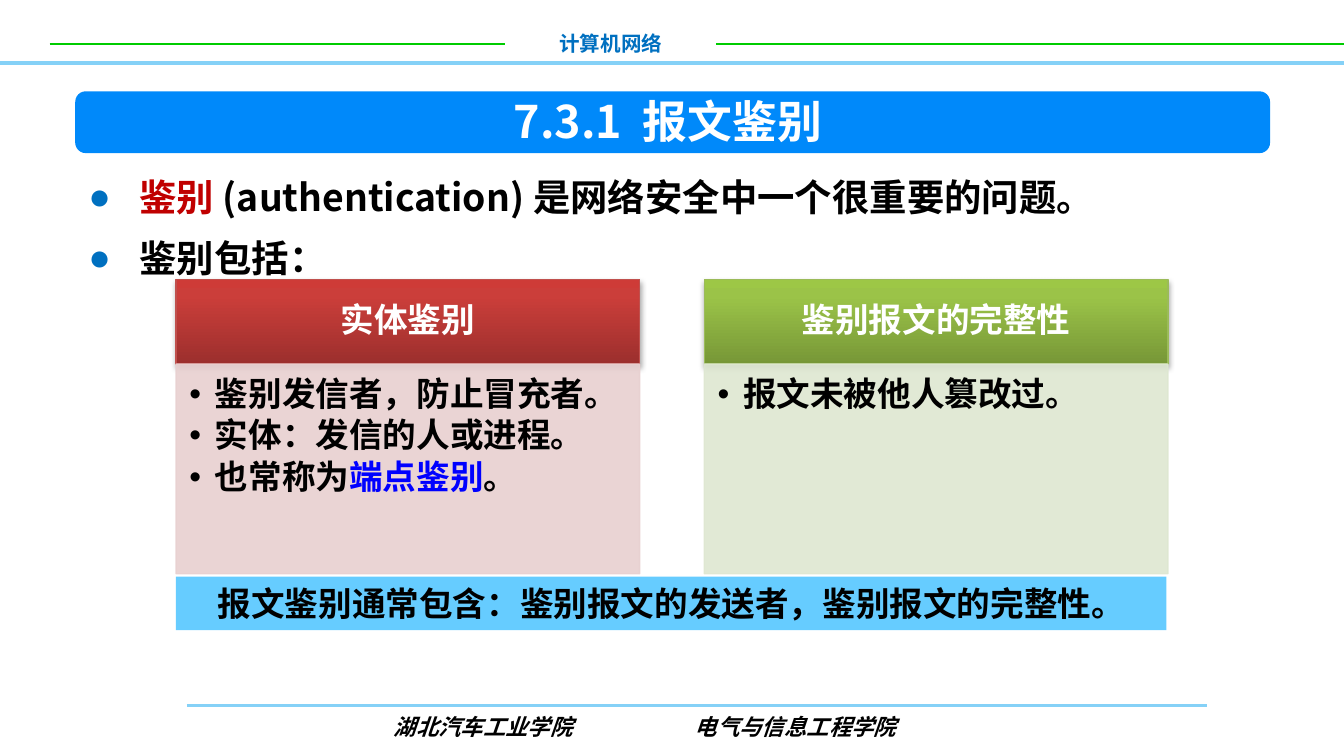
from copy import deepcopy
from dataclasses import dataclass

from lxml.etree import SubElement
from pptx import Presentation
from pptx.dml.color import RGBColor
from pptx.enum.shapes import MSO_CONNECTOR, MSO_SHAPE
from pptx.enum.text import MSO_ANCHOR, PP_ALIGN
from pptx.oxml.ns import qn
from pptx.util import Inches, Pt

COLORS = {
    "sky": "85D1F7", "green": "00CC00", "blue": "0070C0", "banner": "0089FA",
    "red": "C00000", "link": "0000FF", "summary": "66CCFF",
    "black": "000000", "white": "FFFFFF",
}
CJK = "Noto Sans CJK SC"
DEFAULT_INSETS = (0.1, 0.05, 0.1, 0.05)


@dataclass
class Span:
    text: str
    color: str = "black"


@dataclass
class TextStyle:
    size: float
    font: str = CJK
    italic: bool = False
    align: PP_ALIGN = PP_ALIGN.LEFT
    spacing: object = None  # a share of the line, or a fixed Pt height
    space_after: float = 0
    bullet: str = ""
    bullet_color: str = "black"
    indent: float = 0
    tab: float = 0


@dataclass
class Panel:
    left: float
    heading: str
    gradient: list[str]  # from bottom to top
    edge: str
    tint: str
    points: list[list[Span]]


def rgb(name: str) -> RGBColor:
    return RGBColor.from_string(COLORS.get(name, name))


def set_alpha(fill_element, percent: int) -> None:
    color = fill_element.find(".//" + qn("a:srgbClr"))
    SubElement(color, qn("a:alpha"), val=str(percent * 1000))


def draw_rule(slide, start: float, end: float, y: float, color: str, width: float) -> None:
    rule = slide.shapes.add_connector(
        MSO_CONNECTOR.STRAIGHT, Inches(start), Inches(y), Inches(end), Inches(y))
    rule.line.color.rgb = rgb(color)
    rule.line.width = Pt(width)
    SubElement(rule._element.spPr, qn("a:effectLst"))


def draw_box(slide, kind: MSO_SHAPE, left: float, top: float, width: float,
             height: float, color: str):
    box = slide.shapes.add_shape(
        kind, Inches(left), Inches(top), Inches(width), Inches(height))
    box.shadow.inherit = False
    box.fill.solid()
    box.fill.fore_color.rgb = rgb(color)
    box.line.fill.background()
    return box


def write(frame, paragraphs: list[list[Span]], style: TextStyle,
          insets=DEFAULT_INSETS, anchor=MSO_ANCHOR.TOP, wrap=True) -> None:
    frame.word_wrap = wrap
    frame.vertical_anchor = anchor
    (frame.margin_left, frame.margin_top,
     frame.margin_right, frame.margin_bottom) = map(Inches, insets)
    for index, spans in enumerate(paragraphs):
        paragraph = frame.add_paragraph() if index else frame.paragraphs[0]
        paragraph.alignment = style.align
        if style.spacing:
            paragraph.line_spacing = style.spacing
        if style.space_after:
            paragraph.space_after = Pt(style.space_after)
        props = paragraph._p.get_or_add_pPr()
        if style.bullet:
            props.set("marL", str(Inches(style.indent)))
            props.set("indent", str(-Inches(style.indent)))
            color = SubElement(props, qn("a:buClr"))
            SubElement(color, qn("a:srgbClr"), val=COLORS[style.bullet_color])
            SubElement(props, qn("a:buFont"), typeface="Arial")
            SubElement(props, qn("a:buChar"), char=style.bullet)
        if style.tab:
            tabs = SubElement(props, qn("a:tabLst"))
            SubElement(tabs, qn("a:tab"), pos=str(Inches(style.tab)), algn="l")
        for span in spans:
            run = paragraph.add_run()
            run.text = span.text
            run.font.size = Pt(style.size)
            run.font.bold = True
            run.font.italic = style.italic
            run.font.color.rgb = rgb(span.color)
            run.font.name = style.font
            SubElement(run._r.rPr, qn("a:ea"), typeface=CJK)


def draw_text(slide, left: float, top: float, width: float, height: float,
              paragraphs: list[list[Span]], style: TextStyle,
              insets=DEFAULT_INSETS, wrap=True) -> None:
    box = slide.shapes.add_textbox(
        Inches(left), Inches(top), Inches(width), Inches(height))
    write(box.text_frame, paragraphs, style, insets, wrap=wrap)


def shade(box, colors: list[str]) -> None:
    box.fill.gradient()
    box.fill.gradient_angle = 90
    stops = box._element.spPr.find(".//" + qn("a:gsLst"))
    stops.append(deepcopy(stops[-1]))
    for stop, color, position in zip(box.fill.gradient_stops, colors, (0, 0.8, 1)):
        stop.color.rgb = rgb(color)
        stop.position = position


def cast_shadow(box) -> None:
    effects = box._element.spPr.find(qn("a:effectLst"))
    shadow = SubElement(effects, qn("a:outerShdw"), blurRad=str(Pt(3.1)),
                        dist=str(Pt(1.8)), dir="5400000", rotWithShape="0")
    SubElement(shadow, qn("a:srgbClr"), val=COLORS["black"])
    set_alpha(shadow, 35)


def draw_panel(slide, panel: Panel) -> None:
    heading = draw_box(slide, MSO_SHAPE.RECTANGLE, panel.left, 2.08, 3.45, 0.63, panel.edge)
    shade(heading, panel.gradient)
    heading.line.color.rgb = rgb(panel.edge)
    heading.line.width = Pt(0.75)
    cast_shadow(heading)
    write(heading.text_frame, [[Span(panel.heading, "white")]],
          TextStyle(18, align=PP_ALIGN.CENTER, spacing=0.9),
          (0.14, 0.08, 0.14, 0.08), MSO_ANCHOR.MIDDLE)

    body = draw_box(slide, MSO_SHAPE.RECTANGLE, panel.left, 2.71, 3.45, 1.56, panel.tint)
    body.line.color.rgb = rgb(panel.tint)
    body.line.width = Pt(0.75)
    set_alpha(body._element.spPr.find(qn("a:solidFill")), 90)
    set_alpha(body.line._ln, 90)
    write(body.text_frame, panel.points,
          TextStyle(18, spacing=0.9, space_after=2.7, bullet="•", indent=0.19),
          (0.1, 0.1, 0.14, 0.16))


PANELS = [
    Panel(1.31, "实体鉴别", ["9C2F2D", "CB3E3A", "CE3B37"], "C0504D", "E8D0D0", [
        [Span("鉴别发信者，防止冒充者。")],
        [Span("实体：发信的人或进程。")],
        [Span("也常称为"), Span("端点鉴别", "link"), Span("。")],
    ]),
    Panel(5.24, "鉴别报文的完整性", ["779737", "9BC348", "9DC746"], "9BBB59", "DEE7D1", [
        [Span("报文未被他人篡改过。")],
    ]),
]


def main() -> None:
    deck = Presentation()
    deck.slide_width = Inches(10)
    deck.slide_height = Inches(10 * 9 / 16)
    slide = deck.slides.add_slide(deck.slide_layouts[6])
    centered = PP_ALIGN.CENTER

    # Header and footer
    draw_rule(slide, 1.39, 8.98, 5.25, "sky", 1.5)
    draw_rule(slide, 0, 10, 0.47, "sky", 2)
    draw_text(slide, 3.76, 0.18, 1.57, 0.29, [[Span("计算机网络", "blue")]],
              TextStyle(11, align=centered))
    draw_text(slide, 1.02, 5.26, 7.56, 0.3, [[Span("湖北汽车工业学院\t电气与信息工程学院")]],
              TextStyle(12, font="Arial", italic=True, tab=2.24),
              insets=(1.91, 0.05, 0.1, 0.05))
    draw_rule(slide, 5.33, 10, 0.33, "green", 1)
    draw_rule(slide, 0.37, 3.76, 0.33, "green", 1)

    # Opening points
    draw_text(slide, 0.56, 1.12, 8.89, 1.03, [
        [Span("鉴别 ", "red"), Span("(authentication) 是网络安全中一个很重要的问题。")],
        [Span("鉴别包括：")],
    ], TextStyle(20, spacing=Pt(33), bullet="●", bullet_color="blue", indent=0.38))

    # Title banner
    banner = draw_box(slide, MSO_SHAPE.ROUNDED_RECTANGLE, 0.56, 0.68, 8.89, 0.46, "banner")
    banner.adjustments[0] = 0.17
    draw_text(slide, 3.64, 0.65, 2.66, 0.5, [[Span("7.3.1  报文鉴别", "white")]],
              TextStyle(24, align=centered), wrap=False)

    # Two kinds of authentication and the summary
    for panel in PANELS:
        draw_panel(slide, panel)
    summary = draw_box(slide, MSO_SHAPE.RECTANGLE, 1.31, 4.29, 7.37, 0.4, "summary")
    write(summary.text_frame,
          [[Span("报文鉴别通常包含：鉴别报文的发送者，鉴别报文的完整性。")]],
          TextStyle(18, align=centered), anchor=MSO_ANCHOR.MIDDLE)

    deck.save("out.pptx")


if __name__ == "__main__":
    main()
